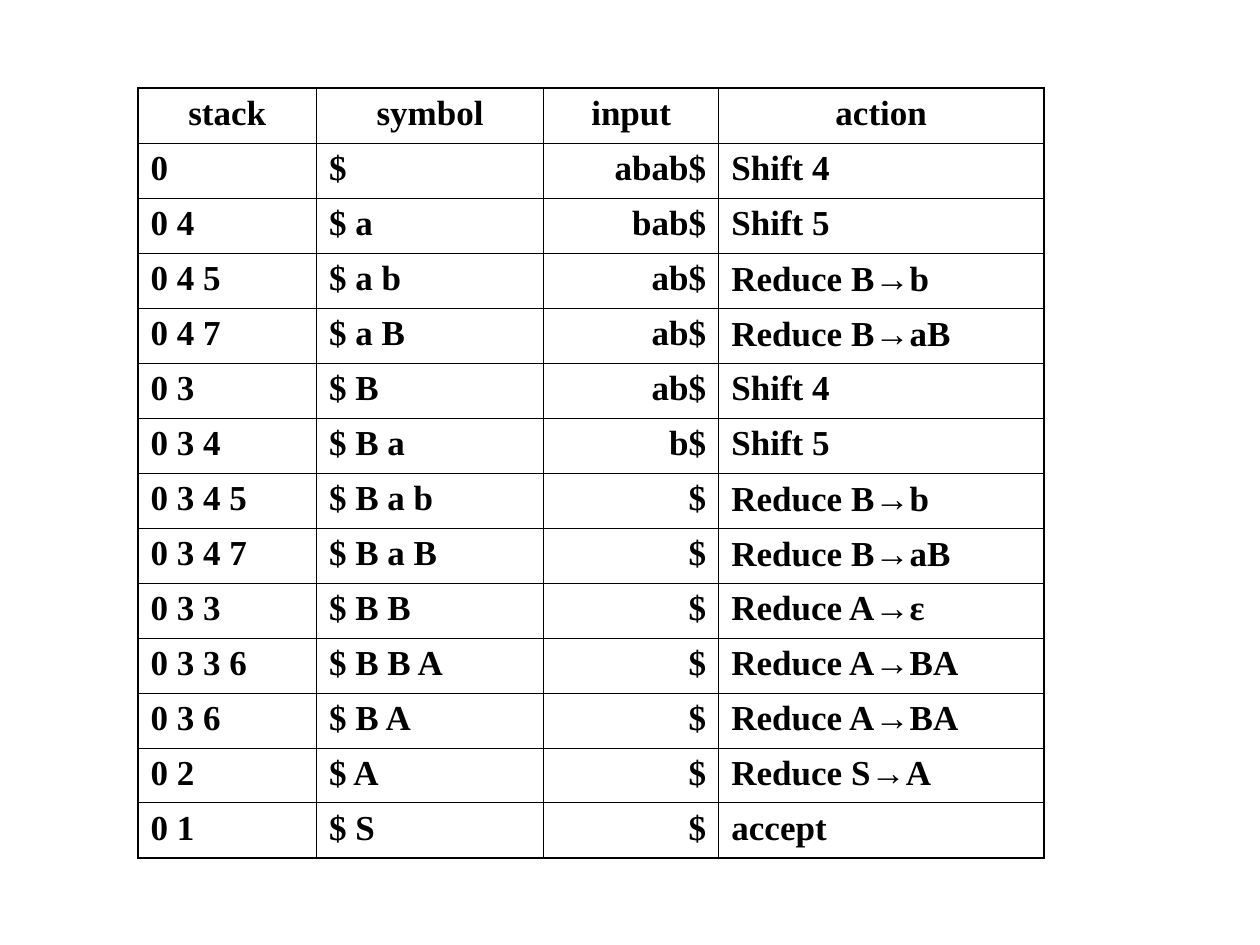
from lxml import etree
from pptx import Presentation
from pptx import util as u
from pptx.dml.color import RGBColor
from pptx.enum import text
from pptx.oxml import parse_xml
from pptx.oxml.ns import nsdecls

BLACK = "000000"
WHITE = "FFFFFF"
SERIF = "Times New Roman"
ARROW = "→"
THIN, THICK = 0.45, 1.08
COLUMN_WIDTHS = [3.6, 4.58, 3.53, 6.55]
COLUMN_ALIGNMENTS = [
    text.PP_ALIGN.LEFT, text.PP_ALIGN.LEFT, text.PP_ALIGN.RIGHT, text.PP_ALIGN.LEFT,
]
PARSE_STEPS = [
    ("stack", "symbol", "input", "action"),
    ("0", "$", "abab$", "Shift 4"),
    ("0 4", "$ a", "bab$", "Shift 5"),
    ("0 4 5", "$ a b", "ab$", "Reduce B→b"),
    ("0 4 7", "$ a B", "ab$", "Reduce B→aB"),
    ("0 3", "$ B", "ab$", "Shift 4"),
    ("0 3 4", "$ B a", "b$", "Shift 5"),
    ("0 3 4 5", "$ B a b", "$", "Reduce B→b"),
    ("0 3 4 7", "$ B a B", "$", "Reduce B→aB"),
    ("0 3 3", "$ B B", "$", "Reduce A→ε"),
    ("0 3 3 6", "$ B B A", "$", "Reduce A→BA"),
    ("0 3 6", "$ B A", "$", "Reduce A→BA"),
    ("0 2", "$ A", "$", "Reduce S→A"),
    ("0 1", "$ S", "$", "accept"),
]


def color(hex_string):
    """Turn a hex string into a colour."""
    return RGBColor.from_string(hex_string)


def set_borders(cell, widths):
    """Draw the left, right, top and bottom borders in the given point widths."""
    properties = cell._tc.get_or_add_tcPr()
    for index, (side, width) in enumerate(zip("LRTB", widths)):
        border = parse_xml(f'<a:ln{side} {nsdecls("a")} w="{u.Pt(width)}"/>')
        fill = etree.SubElement(border, border.tag.replace(f"ln{side}", "solidFill"))
        etree.SubElement(fill, fill.tag.replace("solidFill", "srgbClr"), val=BLACK)
        properties.insert(index, border)


def write_cell(cell, words, alignment):
    """Write bold text, setting the arrow of a grammar rule in Arial."""
    cell.fill.background()
    paragraph = cell.text_frame.paragraphs[0]
    paragraph.alignment = alignment
    paragraph.font.size = u.Pt(20)
    paragraph.font.bold = True
    paragraph.font.color.rgb = color(BLACK)
    before, arrow, after = words.partition(ARROW)
    for part in filter(None, (before, arrow, after)):
        run = paragraph.add_run()
        run.text = part
        run.font.name = "Arial" if part == ARROW else SERIF


def add_parse_table(slide, left, top, width, height):
    """Place the shift-reduce trace in the given box, in centimetres."""
    rows, columns = len(PARSE_STEPS), len(COLUMN_WIDTHS)
    table = slide.shapes.add_table(
        rows, columns, u.Cm(left), u.Cm(top), u.Cm(width), u.Cm(height)
    ).table
    table.first_row = False
    table.horz_banding = False
    scale = width / sum(COLUMN_WIDTHS)
    for column, column_width in zip(table.columns, COLUMN_WIDTHS):
        column.width = u.Cm(column_width * scale)
    for row_index, step in enumerate(PARSE_STEPS):
        for column_index, words in enumerate(step):
            cell = table.cell(row_index, column_index)
            centered = row_index == 0
            alignment = text.PP_ALIGN.CENTER if centered else COLUMN_ALIGNMENTS[column_index]
            write_cell(cell, words, alignment)
            outer_sides = (
                column_index == 0,
                column_index == columns - 1,
                row_index == 0,
                row_index == rows - 1,
            )
            set_borders(cell, [THICK if outer else THIN for outer in outer_sides])


def main():
    """Build the slide and save it."""
    presentation = Presentation()
    presentation.slide_width = u.Cm(25.4)
    presentation.slide_height = u.Cm(19.05)
    slide = presentation.slides.add_slide(presentation.slide_layouts[6])
    slide.background.fill.solid()
    slide.background.fill.fore_color.rgb = color(WHITE)
    add_parse_table(slide, 2.78, 1.78, 18.26, 15.52)
    presentation.save("out.pptx")


if __name__ == "__main__":
    main()
